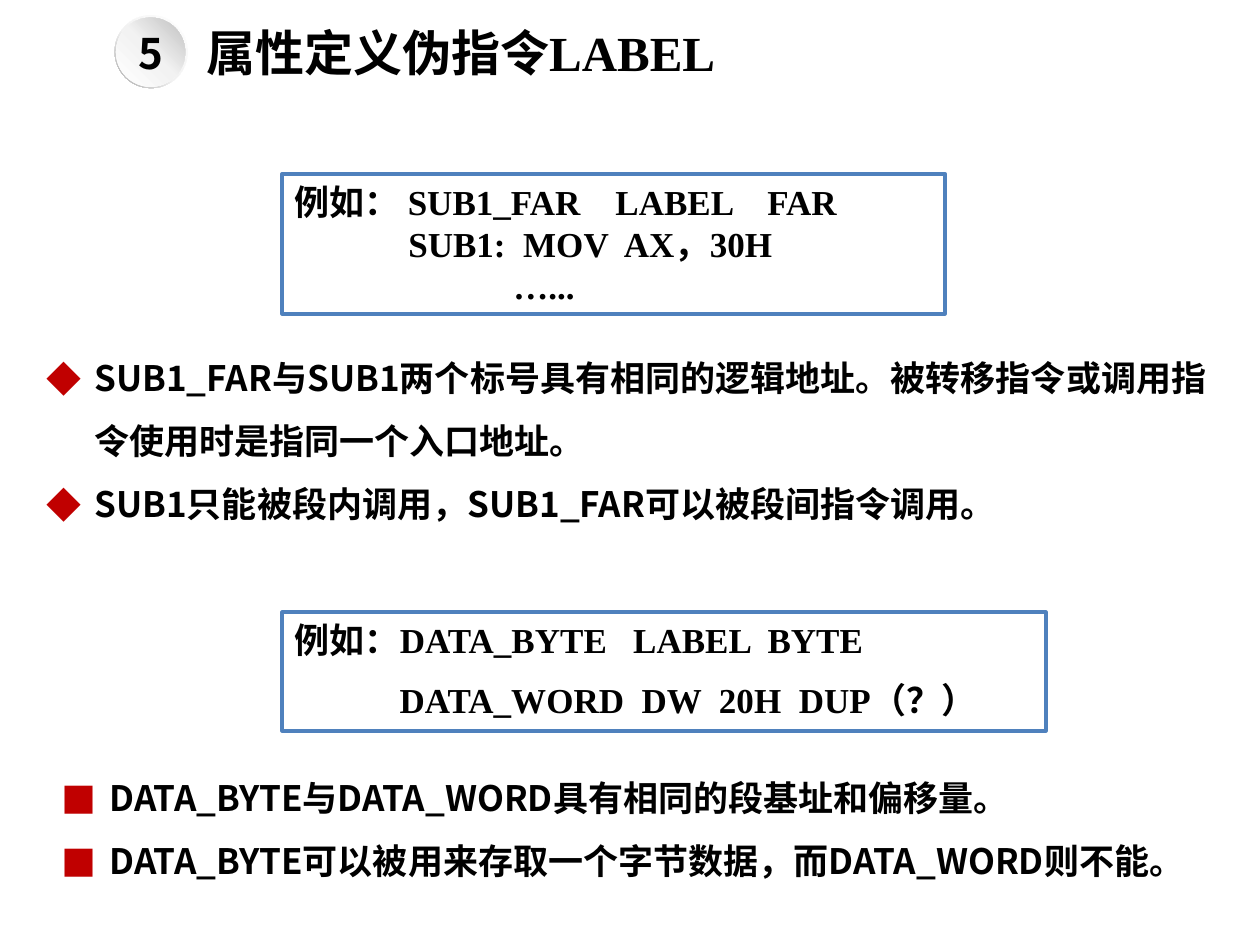
from lxml import etree
from pptx import Presentation
from pptx.dml.color import RGBColor
from pptx.enum.shapes import MSO_SHAPE
from pptx.enum.text import MSO_ANCHOR, MSO_AUTO_SIZE, PP_ALIGN
from pptx.oxml import parse_xml
from pptx.oxml.ns import qn
from pptx.util import Inches, Pt

RECT, OVAL, RING = MSO_SHAPE.RECTANGLE, MSO_SHAPE.OVAL, MSO_SHAPE.DONUT
TOP, MID = MSO_ANCHOR.TOP, MSO_ANCHOR.MIDDLE
LEFT, CENTER = PP_ALIGN.LEFT, PP_ALIGN.CENTER
SANS, SERIF = "Noto Sans CJK SC", "Times New Roman"
NS = "http://schemas.openxmlformats.org/drawingml/2006/main"
hue = RGBColor.from_string

deck = Presentation()
deck.slide_width, deck.slide_height = Inches(10), Inches(7.5)
COL, ROW = deck.slide_width / 100, deck.slide_height / 100
slide = deck.slides.add_slide(deck.slide_layouts[5])


def grid(x, y, w, h):
    """Turn percent of the slide's width and height into lengths."""
    return int(x * COL), int(y * ROW), int(w * COL), int(h * ROW)


def write(shape, lines, face, size=20, align=LEFT, anchor=TOP, mark=None, lead=None, gap=0):
    """Fill a shape with bold black lines, with a red bullet if mark is given."""
    frame = shape.text_frame
    look = {"word_wrap": True, "auto_size": MSO_AUTO_SIZE.NONE, "vertical_anchor": anchor}
    for key, val in look.items():
        setattr(frame, key, val)
    for i, line in enumerate(lines):
        para = frame.add_paragraph() if i else frame.paragraphs[0]
        para.text = line
        para.alignment = align
        para.line_spacing = lead
        para.space_before = Pt(gap if i else 0)
        if mark:
            props = para._p.get_or_add_pPr()
            props.set("marL", str(Inches(0.38)))
            props.set("indent", str(-Inches(0.38)))
            tint = etree.SubElement(props, qn("a:buClr"))
            etree.SubElement(tint, qn("a:srgbClr"), val="C00000")
            etree.SubElement(props, qn("a:buFont"), typeface=SANS)
            etree.SubElement(props, qn("a:buChar"), char=mark)
        for run in para.runs:
            for key, val in {"name": face, "size": Pt(size), "bold": True}.items():
                setattr(run.font, key, val)
            run.font.color.rgb = hue("000000")
            latin = run.font._element.find(qn("a:latin"))
            east = etree.Element(qn("a:ea"), typeface=SANS)
            latin.addnext(east)


# Title
title = slide.shapes.title
title.left, title.top, title.width, title.height = grid(15.4, 1.73, 45.7, 7.6)
write(title, ["属性定义伪指令LABEL"], SERIF, 28)

# Number badge: a shaded rim with a shaded disc on it
badge = slide.shapes.add_group_shape()
parts = [
    (RING, (9.1, 1.6, 5.8, 7.73), 135, [(0, "FFFFFF"), (55, "F2F2F2"), (100, "A6A6A6")]),
    (OVAL, (9.2, 1.87, 5.5, 7.33), 315, [(0, "FFFFFF"), (51, "F2F2F2"), (100, "BFBFBF")]),
]
for kind, spot, turn, stops in parts:
    disc = badge.shapes.add_shape(kind, *grid(*spot))
    disc.shadow.inherit = False
    disc.line.fill.background()
    if kind == RING:
        disc.adjustments[0] = 0.05
    tones = "".join(
        f'<a:gs pos="{pos * 1000}"><a:srgbClr val="{tone}"/></a:gs>' for pos, tone in stops)
    fade = parse_xml(
        f'<a:gradFill xmlns:a="{NS}" rotWithShape="1"><a:gsLst>{tones}</a:gsLst>'
        f'<a:lin ang="{turn * 60000}" scaled="0"/></a:gradFill>')
    disc._element.spPr.find(qn("a:prstGeom")).addnext(fade)
write(disc, ["5"], SANS, 24, CENTER, MID)

# Framed code samples
codes = [
    ((22.4, 18.4, 52.6, 14.8), [
        "例如： SUB1_FAR    LABEL    FAR\v"
        "             SUB1:  MOV  AX，30H\v"
        "                         …..."]),
    ((22.4, 64.8, 60.6, 12.53), [
        "例如：DATA_BYTE   LABEL  BYTE",
        "            DATA_WORD  DW  20H  DUP（？）"]),
]
for spot, lines in codes:
    box = slide.shapes.add_shape(RECT, *grid(*spot))
    box.shadow.inherit = False
    box.fill.solid()
    box.fill.fore_color.rgb = hue("FFFFFF")
    box.line.color.rgb = hue("4F81BD")
    box.line.width = Pt(2.25)
    write(box, lines, SERIF, gap=10)

# Bulleted remarks
notes = [
    ((2.7, 34.8, 94.6, 20.53), "◆", [
        "SUB1_FAR与SUB1两个标号具有相同的逻辑地址。被转移指令或调用指令使用时是指同一个入口地址。",
        "SUB1只能被段内调用，SUB1_FAR可以被段间指令调用。"]),
    ((3.9, 79.33, 92.2, 13.73), "■", [
        "DATA_BYTE与DATA_WORD具有相同的段基址和偏移量。",
        "DATA_BYTE可以被用来存取一个字节数据，而DATA_WORD则不能。"]),
]
for spot, mark, lines in notes:
    write(slide.shapes.add_textbox(*grid(*spot)), lines, SANS, mark=mark, lead=1.5)

deck.save("out.pptx")
